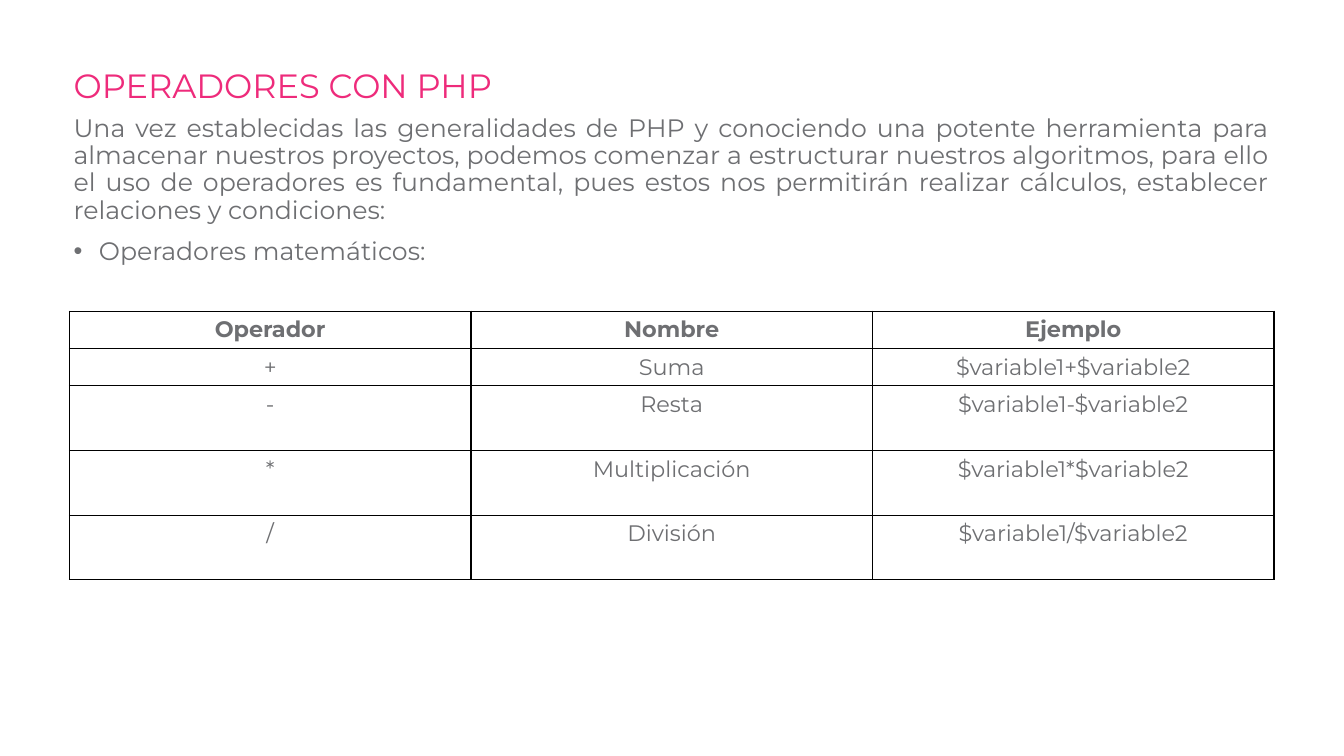
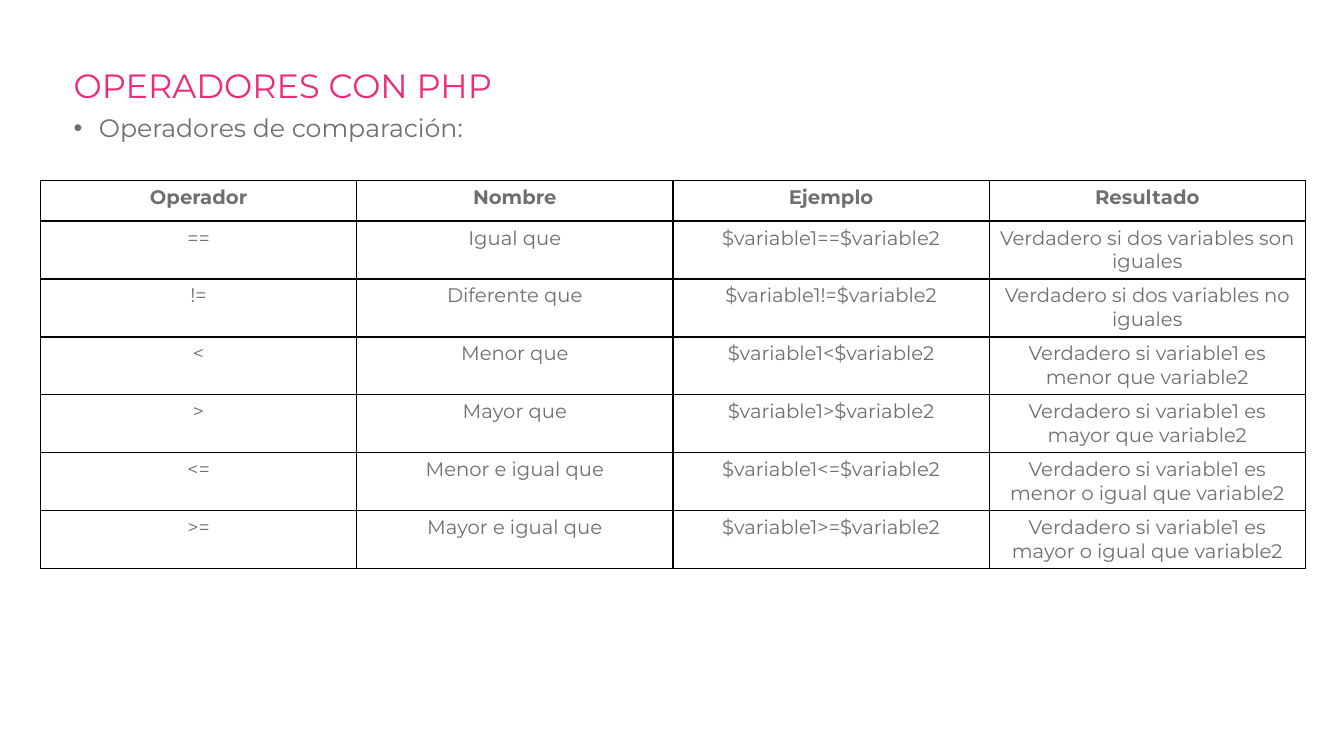
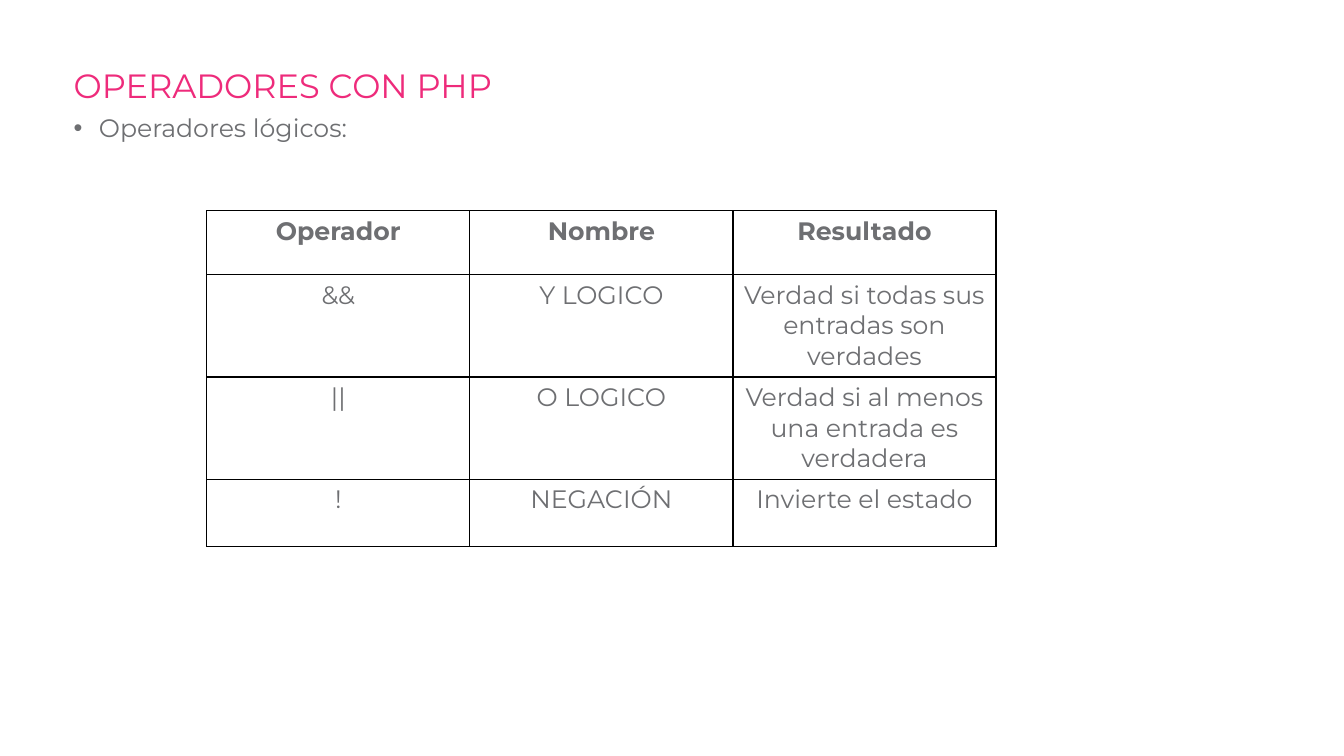
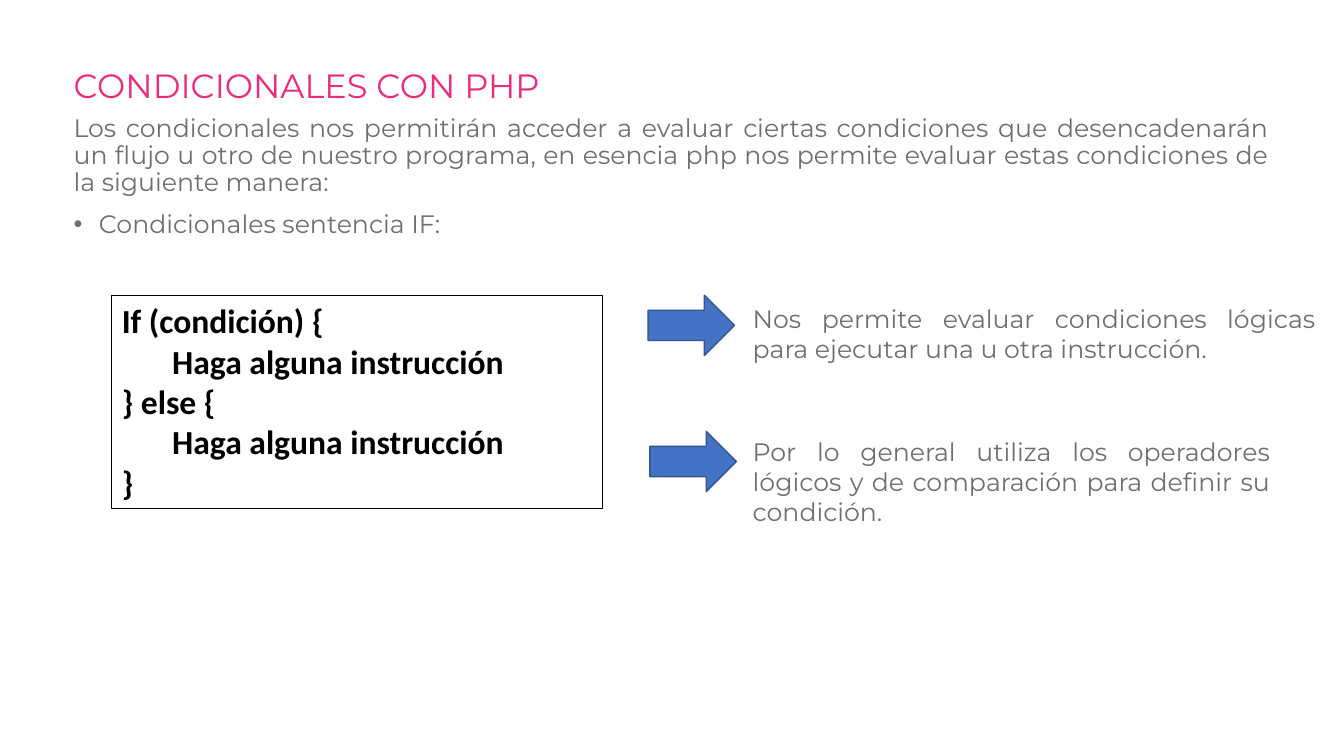
from lxml import etree
from pptx import Presentation
from pptx.dml.color import RGBColor
from pptx.enum.shapes import MSO_SHAPE
from pptx.enum.text import MSO_ANCHOR, MSO_AUTO_SIZE, PP_ALIGN
from pptx.oxml.ns import qn
from pptx.util import Cm, Pt

RECT, ARROW = MSO_SHAPE.RECTANGLE, MSO_SHAPE.RIGHT_ARROW
TOP = MSO_ANCHOR.TOP
NO_FIT = MSO_AUTO_SIZE.NONE
LEFT, CENTER, JUSTIFY = PP_ALIGN.LEFT, PP_ALIGN.CENTER, PP_ALIGN.JUSTIFY

FONT, CODE_FONT = "Montserrat", "Calibri"
PINK, GREY, BLACK = "EE2B7B", "6E6F72", "000000"
BLUE, DARK_BLUE = "4472C4", "325491"
TITLE_BOX = (1.6, 1.63, 29.21, 3.68)
BODY_LEFT, BODY_TOP, BODY_WIDTH = 1.6, 2.79, 30.63
BULLET_INDENT = 0.64
CODE_INDENT = 1.27


def rgb(hex_color):
    return RGBColor.from_string(hex_color)


def place(shape, left, top, width, height):
    shape.left, shape.top = Cm(left), Cm(top)
    shape.width, shape.height = Cm(width), Cm(height)


def style(p, size, color=GREY, font=FONT, bold=False, align=JUSTIFY):
    p.alignment = align
    for r in p.runs:
        r.font.name, r.font.size, r.font.bold = font, Pt(size), bold
        r.font.color.rgb = rgb(color)


def indent(p, left, first=0):
    pPr = p._p.get_or_add_pPr()
    pPr.set("marL", str(Cm(left)))
    pPr.set("indent", str(Cm(first)))
    return pPr


def set_bullet(p, shown):
    if shown:
        pPr = indent(p, BULLET_INDENT, -BULLET_INDENT)
        etree.SubElement(pPr, qn("a:buFont")).set("typeface", "Arial")
        etree.SubElement(pPr, qn("a:buChar")).set("char", "•")
    else:
        etree.SubElement(indent(p, 0), qn("a:buNone"))


def set_borders(cell, color=BLACK, width=1):
    """Draw all four sides; the lines must precede the fill in the XML."""
    tcPr = cell._tc.get_or_add_tcPr()
    for i, side in enumerate(("lnL", "lnR", "lnT", "lnB")):
        ln = etree.Element(qn(f"a:{side}"), w=str(Pt(width)))
        fill = etree.SubElement(ln, qn("a:solidFill"))
        etree.SubElement(fill, qn("a:srgbClr")).set("val", color)
        tcPr.insert(i, ln)


class Deck:
    def __init__(self):
        self.prs = Presentation()
        self.prs.slide_width, self.prs.slide_height = Cm(33.87), Cm(19.05)
        self.s = None

    def slide(self, title):
        self.s = self.prs.slides.add_slide(self.prs.slide_layouts[1])
        sp = self.s.shapes.title
        place(sp, *TITLE_BOX)
        tf = sp.text_frame
        tf.text = title
        tf.vertical_anchor, tf.auto_size = TOP, NO_FIT
        p = tf.paragraphs[0]
        p.line_spacing = 0.9
        style(p, 24, PINK, align=LEFT)

    def body(self, height, bullet, intro=None):
        """Fill the body with an optional plain paragraph and one bullet."""
        sp = self.s.placeholders[1]
        place(sp, BODY_LEFT, BODY_TOP, BODY_WIDTH, height)
        tf = sp.text_frame
        tf.text = f"{intro}\n{bullet}" if intro else bullet
        tf.vertical_anchor, tf.auto_size = TOP, NO_FIT
        for p in tf.paragraphs:
            p.line_spacing, p.space_before = 0.9, Pt(10)
            set_bullet(p, p.text == bullet)
            style(p, 18)

    def table(self, left, top, col_width, row_heights, size, rows):
        n_cols = len(rows[0])
        table = self.s.shapes.add_table(
            len(rows), n_cols, Cm(left), Cm(top),
            Cm(col_width * n_cols), Cm(sum(row_heights))).table
        for col in table.columns:
            col.width = Cm(col_width)
        for i, (row, height) in enumerate(zip(rows, row_heights)):
            table.rows[i].height = Cm(height)
            for j, text in enumerate(row):
                cell = table.cell(i, j)
                cell.text = text
                cell.fill.background()
                set_borders(cell)
                style(cell.text_frame.paragraphs[0], size, bold=i == 0, align=CENTER)

    def shape(self, kind, box, line, line_width, fill=None):
        sp = self.s.shapes.add_shape(kind, *map(Cm, box))
        sp.shadow.inherit = False
        sp.line.color.rgb, sp.line.width = rgb(line), Pt(line_width)
        if fill:
            sp.fill.solid()
            sp.fill.fore_color.rgb = rgb(fill)
        else:
            sp.fill.background()
        return sp

    def code(self, box, lines):
        """Boxed code from (indent level, text) pairs."""
        tf = self.shape(RECT, box, BLACK, 0.75).text_frame
        tf.word_wrap, tf.vertical_anchor = True, TOP
        tf.text = "\n".join(text for _, text in lines)
        for p, (level, _) in zip(tf.paragraphs, lines):
            indent(p, level * CODE_INDENT)
            style(p, 24, BLACK, CODE_FONT, bold=True)

    def arrow(self, left, top):
        self.shape(ARROW, (left, top, 2.18, 1.52), DARK_BLUE, 1, BLUE)

    def text(self, box, text):
        tf = self.s.shapes.add_textbox(*map(Cm, box)).text_frame
        tf.word_wrap = True
        tf.text = text
        style(tf.paragraphs[0], 18)


def main():
    deck = Deck()

    deck.slide("OPERADORES CON PHP")
    deck.body(5.97, "Operadores matemáticos:",
              "Una vez establecidas las generalidades de PHP y conociendo una potente "
              "herramienta para almacenar nuestros proyectos, podemos comenzar a "
              "estructurar nuestros algoritmos, para ello el uso de operadores es "
              "fundamental, pues estos nos permitirán realizar cálculos, establecer "
              "relaciones y condiciones:")
    operations = [("+", "Suma"), ("-", "Resta"), ("*", "Multiplicación"), ("/", "División")]
    deck.table(1.75, 7.84, 10.12, [0.94] * 2 + [1.63] * 3, 16,
               [("Operador", "Nombre", "Ejemplo")]
               + [(op, name, f"$variable1{op}$variable2") for op, name in operations])

    deck.slide("OPERADORES CON PHP")
    deck.body(0.97, "Operadores de comparación:")
    comparisons = [
        ("==", "Igual que", "dos variables son iguales"),
        ("!=", "Diferente que", "dos variables no iguales"),
        ("<", "Menor que", "variable1 es menor que variable2"),
        (">", "Mayor que", "variable1 es mayor que variable2"),
        ("<=", "Menor e igual que", "variable1 es menor o igual que variable2"),
        (">=", "Mayor e igual que", "variable1 es mayor o igual que variable2"),
    ]
    deck.table(1.02, 4.54, 7.97, [1.03] + [1.46] * 6, 14,
               [("Operador", "Nombre", "Ejemplo", "Resultado")]
               + [(op, name, f"$variable1{op}$variable2", f"Verdadero si {result}")
                  for op, name, result in comparisons])

    deck.slide("OPERADORES CON PHP")
    deck.body(0.97, "Operadores lógicos:")
    deck.table(5.21, 5.31, 6.63, [1.61, 2.58, 2.58, 1.7], 18, [
        ("Operador", "Nombre", "Resultado"),
        ("&&", "Y LOGICO", "Verdad si todas sus entradas son verdades"),
        ("||", "O LOGICO", "Verdad si al menos una entrada es verdadera"),
        ("!", "NEGACIÓN", "Invierte el estado"),
    ])

    deck.slide("CONDICIONALES CON PHP")
    deck.body(4.95, "Condicionales sentencia IF:",
              "Los condicionales nos permitirán acceder a evaluar ciertas condiciones "
              "que desencadenarán un flujo u otro de nuestro programa, en esencia php "
              "nos permite evaluar estas condiciones de la siguiente manera:")
    deck.code((2.82, 7.44, 12.37, 5.38), [
        (0, "If (condición) {"),
        (1, "Haga alguna instrucción"),
        (0, "} else {"),
        (1, "Haga alguna instrucción"),
        (0, "}"),
    ])
    deck.arrow(16.33, 7.44)
    deck.arrow(16.38, 10.87)
    deck.text((18.72, 7.52, 14.68, 2.57),
              "Nos permite evaluar condiciones lógicas para ejecutar una u otra instrucción.")
    deck.text((18.72, 10.87, 13.54, 3.33),
              "Por lo general utiliza los operadores lógicos y de comparación para "
              "definir su condición.")

    deck.prs.save("out.pptx")


if __name__ == "__main__":
    main()
